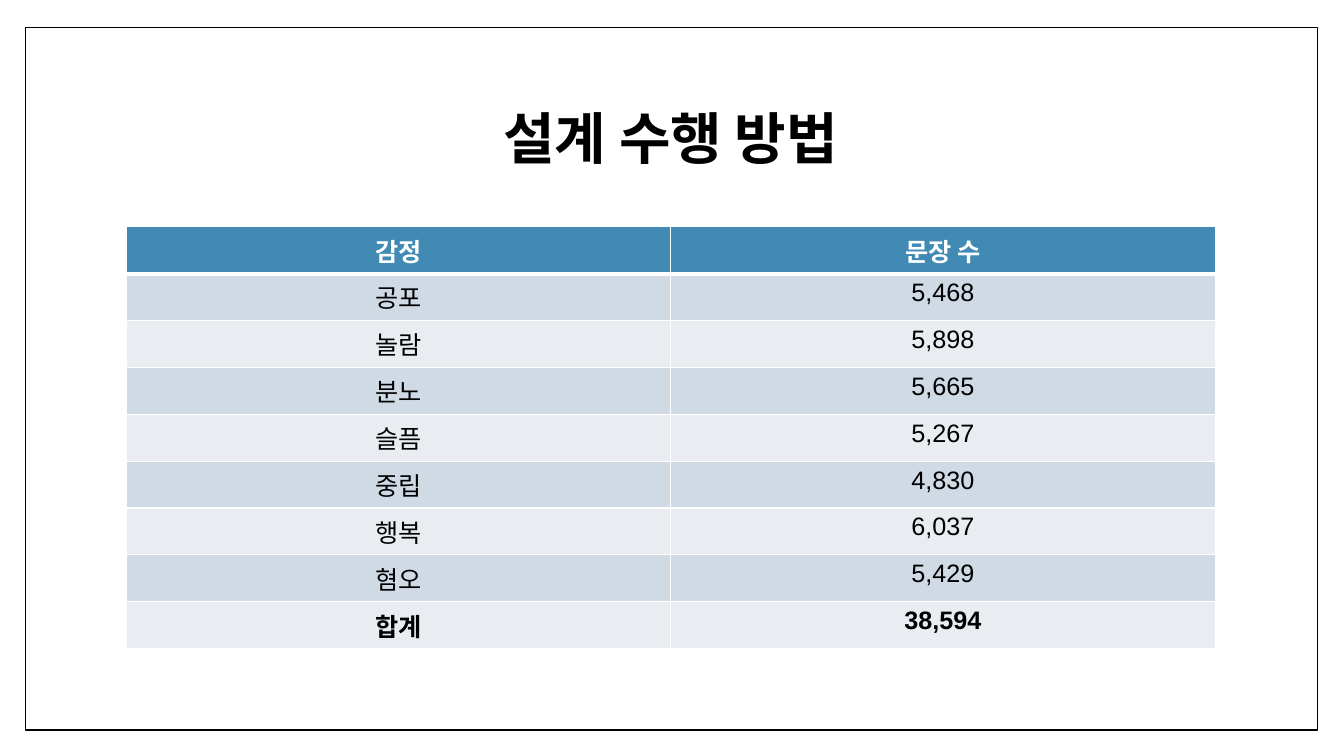
from lxml import etree
from pptx import Presentation
from pptx.dml.color import RGBColor
from pptx.enum.shapes import MSO_SHAPE
from pptx.enum.text import MSO_ANCHOR, PP_ALIGN
from pptx.oxml.ns import qn
from pptx.util import Pt

RECTANGLE = MSO_SHAPE.RECTANGLE
MIDDLE = MSO_ANCHOR.MIDDLE
CENTER = PP_ALIGN.CENTER

TITLE_ONLY = 5
FONT = "Arial"
COLORS = {
    "ink": "000000",
    "paper": "FFFFFF",
    "header": "418AB3",
    "band_dark": "CFDAE5",
    "band_light": "E9EDF2",
}
EMOTION_COUNTS = [
    ("감정", "문장 수"),
    ("공포", "5,468"),
    ("놀람", "5,898"),
    ("분노", "5,665"),
    ("슬픔", "5,267"),
    ("중립", "4,830"),
    ("행복", "6,037"),
    ("혐오", "5,429"),
    ("합계", "38,594"),
]


def rgb(name):
    return RGBColor.from_string(COLORS[name])


class SlideBuilder:
    def __init__(self, presentation):
        self.slide = presentation.slides.add_slide(
            presentation.slide_layouts[TITLE_ONLY])

    def add_text(self, paragraph, text, size, color="ink", bold=False):
        paragraph.alignment = CENTER
        run = paragraph.add_run()
        run.text = text
        run.font.name = FONT
        run.font.size = Pt(size)
        run.font.bold = bold
        run.font.color.rgb = rgb(color)

    def frame(self, left, top, width, height):
        """Draw the page border behind everything else."""
        border = self.slide.shapes.add_shape(
            RECTANGLE, Pt(left), Pt(top), Pt(width), Pt(height))
        border.shadow.inherit = False
        border.fill.solid()
        border.fill.fore_color.rgb = rgb("paper")
        border.line.color.rgb = rgb("ink")
        border.line.width = Pt(1)
        self.slide.shapes._spTree.insert(2, border._element)

    def title(self, text, left, top, width, height):
        heading = self.slide.shapes.title
        heading.left, heading.top = Pt(left), Pt(top)
        heading.width, heading.height = Pt(width), Pt(height)
        heading.text_frame.vertical_anchor = MIDDLE
        paragraph = heading.text_frame.paragraphs[0]
        paragraph.line_spacing = 0.9
        self.add_text(paragraph, text, 40, bold=True)

    def cell_borders(self, cell, top, bottom):
        """Add white borders; the schema wants them ahead of the fill."""
        properties = cell._tc.get_or_add_tcPr()
        widths = {"a:lnL": 1, "a:lnR": 1, "a:lnT": top, "a:lnB": bottom}
        for position, (tag, width) in enumerate(widths.items()):
            line = etree.Element(qn(tag), w=str(Pt(width)))
            fill = etree.SubElement(line, qn("a:solidFill"))
            etree.SubElement(fill, qn("a:srgbClr"), val=COLORS["paper"])
            properties.insert(position, line)

    def table(self, rows, left, top, width, row_height):
        """Draw a banded table with a header row and a bold total row."""
        grid = self.slide.shapes.add_table(
            len(rows), len(rows[0]), Pt(left), Pt(top),
            Pt(width), Pt(row_height * len(rows))).table
        last = len(rows) - 1
        for row, values in enumerate(rows):
            is_header = row == 0
            band = "band_dark" if row % 2 else "band_light"
            for column, value in enumerate(values):
                cell = grid.cell(row, column)
                cell.fill.solid()
                cell.fill.fore_color.rgb = rgb("header" if is_header else band)
                self.cell_borders(cell, top=3 if row == 1 else 1,
                                  bottom=3 if is_header else 1)
                self.add_text(cell.text_frame.paragraphs[0], value, 18,
                              "paper" if is_header else "ink",
                              bold=row in (0, last))


def main():
    presentation = Presentation()
    presentation.slide_width, presentation.slide_height = Pt(960), Pt(540)
    builder = SlideBuilder(presentation)
    builder.frame(18, 19.5, 923, 502)
    builder.title("설계 수행 방법", 90, 48, 778, 106.5)
    builder.table(EMOTION_COUNTS, 90, 162, 778, 33.5)
    presentation.save("out.pptx")


if __name__ == "__main__":
    main()
